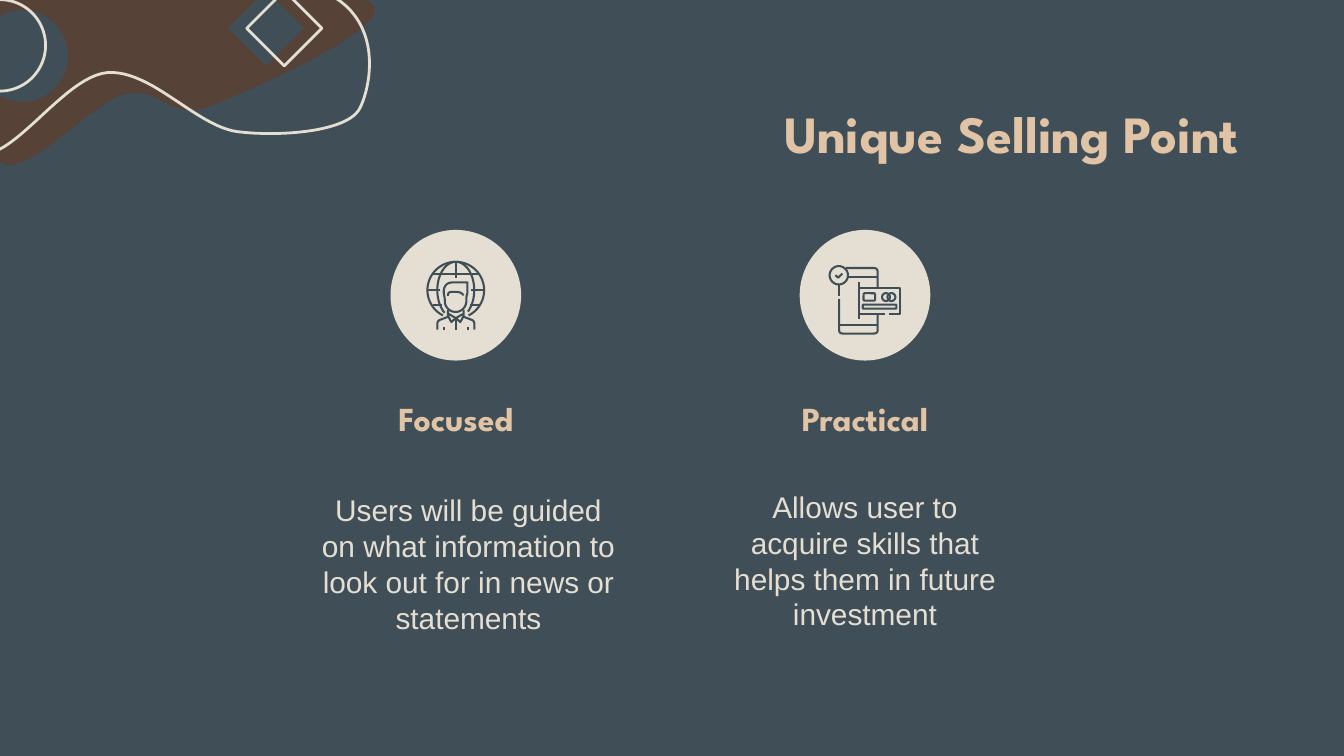
from math import cos, radians, sin

from pptx import Presentation
from pptx.dml.color import RGBColor
from pptx.enum.shapes import MSO_SHAPE
from pptx.enum.text import MSO_ANCHOR, MSO_AUTO_SIZE, PP_ALIGN
from pptx.util import Pt

COLORS = {"slate": "404F57", "brown": "564237", "cream": "E4DED3", "sand": "E1C3A5"}
FONTS = {
    "title": {"name": "League Spartan", "size": Pt(28), "bold": True},
    "heading": {"name": "League Spartan", "size": Pt(18), "bold": True},
    "body": {"name": "Arial", "size": Pt(16), "bold": False},
}
CORNER_LINE = {"line": "cream", "weight": 1.5}
ICON_LINE = {"line": "slate", "weight": 1.1}


def rgb(name):
    """Return the named palette colour."""
    return RGBColor.from_string(COLORS[name])


def paint(shape, fill=None, line=None, weight=1):
    """Give a shape its fill and line and remove its shadow."""
    shape.shadow.inherit = False
    for part, color in ((shape.fill, fill), (shape.line.fill, line)):
        if color:
            part.solid()
            part.fore_color.rgb = rgb(color)
        else:
            part.background()
    if line:
        shape.line.width = Pt(weight)


def place(slide, kind, left, top, width, height, **look):
    """Add a painted preset shape."""
    box = [Pt(value) for value in (left, top, width, height)]
    paint(slide.shapes.add_shape(kind, *box), **look)


def flatten(start, segments, steps=24):
    """Turn line (2 numbers) and cubic (6 numbers) segments into points."""
    points = [start]
    for segment in segments:
        if len(segment) == 2:
            points.append(segment)
            continue
        knots = [points[-1], segment[:2], segment[2:4], segment[4:]]
        for step in range(1, steps + 1):
            t = step / steps
            weights = ((1 - t) ** 3, 3 * t * (1 - t) ** 2, 3 * t * t * (1 - t), t ** 3)
            points.append(tuple(sum(w * knot[axis] for w, knot in zip(weights, knots))
                                for axis in (0, 1)))
    return points


def arc(center_x, center_y, radius_x, radius_y, first, last):
    """Return points along an elliptical arc given in degrees."""
    return [(center_x + radius_x * cos(radians(angle)), center_y + radius_y * sin(radians(angle)))
            for angle in range(first, last + 1, 6)]


def trace(slide, left, top, strokes, close=False, **look):
    """Draw strokes relative to a corner as one freeform."""
    builder = None
    for stroke in strokes:
        corners = [(Pt(left + x), Pt(top + y)) for x, y in stroke]
        if builder is None:
            builder = slide.shapes.build_freeform(*corners[0])
        else:
            builder.move_to(*corners[0])
        builder.add_line_segments(corners[1:], close=close)
    paint(builder.convert_to_shape(), **look)


def write(holder, text, style, color, align, inset=7.2):
    """Fill a text holder with one formatted paragraph."""
    frame = holder.text_frame
    layout = {"word_wrap": True, "auto_size": MSO_AUTO_SIZE.NONE,
              "vertical_anchor": MSO_ANCHOR.MIDDLE, "margin_left": Pt(7.2),
              "margin_right": Pt(7.2), "margin_top": Pt(inset), "margin_bottom": Pt(inset)}
    for key, value in layout.items():
        setattr(frame, key, value)
    paragraph = frame.paragraphs[0]
    paragraph.alignment = align
    run = paragraph.add_run()
    run.text = text
    for key, value in FONTS[style].items():
        setattr(run.font, key, value)
    run.font.color.rgb = rgb(color)


def draw_corner(slide, left, top):
    """Draw the organic decoration of the top left corner."""
    blob = flatten((0.7, 87.1), [
        (15.1, 95.8, 48.2, 55.4, 67, 50.4), (85.7, 45.4, 90.7, 65.5, 112.3, 56.9),
        (133.9, 49, 219.6, 10.8, 197.3, 0.7), (175, -9.4, 11.5, -18, -20.9, -3.6),
        (-54, 10.8, -14.4, 77.8, 0.7, 87.1)])
    wave = flatten((-13, 82.1), [
        (5.8, 88.6, 33.8, 41, 57.6, 38.9), (81.4, 37.4, 105.1, 67.7, 127.4, 70.6),
        (150.5, 73.4, 187.2, 70.6, 193, 57.6), (199.4, 44.6, 206.6, 4.3, 165.6, -7.2),
        (124.6, -18.7, -17.3, -11.5, -54, -10.8), (-90, -10.1, -59.8, -18, -53.3, -2.9),
        (-46.1, 13, -31.7, 74.9, -13, 82.1)])
    trace(slide, left, top, [blob], True, fill="brown")
    for kind, x, y, size, look in (
            (MSO_SHAPE.DIAMOND, 122.4, -5, 40.3, {"fill": "slate"}),
            (MSO_SHAPE.DIAMOND, 132.2, -5, 40.3, CORNER_LINE),
            (MSO_SHAPE.OVAL, -12.6, 5.5, 49, {"fill": "slate"}),
            (MSO_SHAPE.OVAL, -24.6, -0.2, 49, CORNER_LINE)):
        place(slide, kind, left + x, top + y, size, size, **look)
    trace(slide, left, top, [wave], True, **CORNER_LINE)


def draw_globe_person(slide, left, top):
    """Draw a person in front of a globe inside a 70 pt box."""
    axis = 35

    def both(strokes):
        """Return strokes together with their mirror images."""
        return strokes + [[(2 * axis - x, y) for x, y in stroke] for stroke in strokes]

    globe = [arc(axis, 32.3, 15.2, 15.2, 117, 423), arc(axis, 32.3, 9.9, 15.2, 127, 413),
             [(22.9, 23.8), (47.1, 23.8)], [(axis, 17.1), (axis, 25.9)]]
    globe += both([[(19.8, 32), (26.8, 32)], [(22.7, 40.3), (27.6, 40.3)]])
    head = flatten((41.2, 28.1), [
        (41.2, 34), (40.8, 34.8, 40.6, 35.6, 40.6, 38.2), (40.6, 41, 38.2, 43.9, axis, 43.9),
        (31.4, 43.9, 29.1, 41, 29.1, 38.2), (29.1, 35.6, 28.5, 34.8, 28.5, 33.3),
        (28.5, 30, 30.2, 28.1, 33.3, 28.1), (41.2, 28.1)])
    shoulder = flatten((25.1, 53.4), [(25.1, 50.2), (25.1, 49, 25.8, 48.3, 27.2, 47.9),
                                      (30.8, 46.5), (30.8, 43)])
    collar = [(30.8, 46.1), (32.6, 49.3), (axis, 47.2), (31.2, 45)]
    body = [head, [(axis, 47.2), (axis, 53.4)]] + both([shoulder, collar])
    fringe = flatten((30.8, 35.3), [(30.8, 33.3, 31.7, 33.2, 34, 33.2),
                                    (36.7, 33.2, 38, 33.5, 39.2, 35)])
    buttons = both([[(28.6, 52.2), (28.6, 53.4)]])
    for strokes in ([fringe], body, buttons[:1], buttons[1:], globe):
        trace(slide, left, top, strokes, **ICON_LINE)


def draw_phone_card(slide, left, top):
    """Draw a phone with a payment card inside a 70 pt box."""
    phone = [
        arc(21, 24.3, 4.9, 4.9, 0, 360),
        [(21.2, 29.3), (21.2, 35.3)],
        flatten((21.2, 36.9), [(21.2, 53.6), (21.2, 55, 21.9, 55.5, 23.2, 55.5), (39.6, 55.5),
                               (41, 55.5, 41.8, 55, 41.8, 53.6), (41.8, 45)]),
        flatten((25, 20.4), [(39.6, 20.4), (41, 20.4, 41.8, 21.1, 41.8, 22.5), (41.8, 30.9)]),
        [(25.9, 25.4), (41.8, 25.4)],
        [(21.2, 50.7), (41.8, 50.7)],
        [(31.6, 28.1), (31.6, 47.7)],
        [(47.9, 45), (53.8, 45), (53.8, 30.9), (31.6, 30.9)],
        [(31.6, 45), (45.7, 45)],
    ]
    trace(slide, left, top, phone, **ICON_LINE)
    rings = [arc(x, 36, 2.1, 2.1, 0, 360) for x in (46.3, 49.2)]
    trace(slide, left, top, rings, **ICON_LINE)
    for x, y, width, height in ((34.2, 33.9, 6.2, 4), (33.8, 40, 18, 2.2)):
        place(slide, MSO_SHAPE.ROUNDED_RECTANGLE, left + x, top + y, width, height, **ICON_LINE)
    trace(slide, left, top, [[(19.2, 24.2), (20.6, 25.6), (22.9, 23.4)]], **ICON_LINE)


def draw_point(slide, left, top, width, heading, body, body_box, draw_icon):
    """Place one selling point: icon disc, heading and explanation."""
    disc = 70
    disc_left = left + (width - disc) / 2
    place(slide, MSO_SHAPE.OVAL, disc_left, top, disc, disc, fill="cream")
    draw_icon(slide, disc_left, top)
    body_left, body_top, body_width, body_height = body_box
    for text, style, color, inset, box in (
            (heading, "heading", "sand", 0, (left, top + 87, width, 28)),
            (body, "body", "cream", 7.2,
             (left + body_left, top + body_top, body_width, body_height))):
        holder = slide.shapes.add_textbox(*(Pt(value) for value in box))
        write(holder, text, style, color, PP_ALIGN.CENTER, inset)


def place_title(slide, left, top, width, height):
    """Move and format the title placeholder."""
    title = slide.shapes.title
    for key, value in {"left": left, "top": top, "width": width, "height": height}.items():
        setattr(title, key, Pt(value))
    write(title, "Unique Selling Point", "title", "sand", PP_ALIGN.RIGHT)


def main():
    """Build and save the slide."""
    deck = Presentation()
    deck.slide_width, deck.slide_height = Pt(720), Pt(405)
    slide = deck.slides.add_slide(deck.slide_layouts[5])
    slide.background.fill.solid()
    slide.background.fill.fore_color.rgb = rgb("slate")
    draw_corner(slide, 0, 0)
    place_title(slide, 172.4, 38.4, 498.3, 65.5)
    points = [
        ("Focused", "Users will be guided on what information to look out for in news or statements",
         (5, 147.6, 173.5, 62), draw_globe_person),
        ("Practical", "Allows user to acquire skills that helps them in future investment",
         (0, 146.9, 170, 60), draw_phone_card),
    ]
    for column, point in enumerate(points):
        draw_point(slide, 159.2 + 219.2 * column, 123.2, 170, *point)
    deck.save("out.pptx")


if __name__ == "__main__":
    main()
